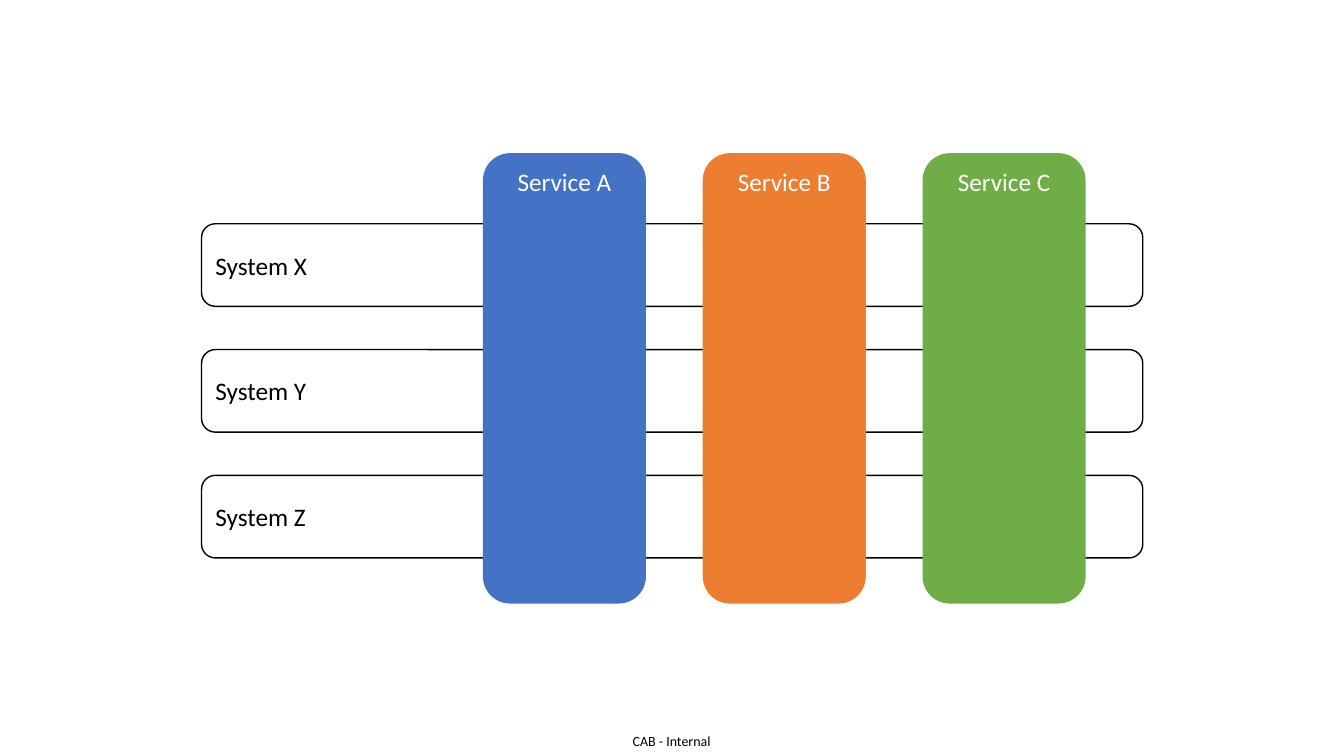
import pptx
import pptx.util
import pptx.dml.color
import pptx.enum.shapes
import pptx.enum.text

Cm, Pt = pptx.util.Cm, pptx.util.Pt
ALIGN = pptx.enum.text.PP_ALIGN
ANCHOR = pptx.enum.text.MSO_ANCHOR

COLORS = {"black": "000000", "white": "FFFFFF", "blue": "4472C4",
          "orange": "ED7D31", "green": "70AD47"}
SYSTEMS = ["System X", "System Y", "System Z"]
SERVICES = [("Service A", "blue"), ("Service B", "orange"), ("Service C", "green")]
FOOTER = "CAB - Internal"

# Lengths in centimetres: left, top, width, height of the first item, then the step
SYSTEM_BOX, SYSTEM_STEP = (5.08, 5.64, 23.72, 2.08), 3.17
SERVICE_BOX, SERVICE_STEP = (12.17, 3.86, 4.11, 11.35), 5.54
FOOTER_BOX = (15.54, 18.31, 2.77, 0.74)


def color(name):
    return pptx.dml.color.RGBColor.from_string(COLORS[name])


def write(shape, text, size, color_name, align, anchor):
    frame = shape.text_frame
    frame.word_wrap = True
    frame.vertical_anchor = anchor
    para = frame.paragraphs[0]
    para.alignment = align
    span = para.add_run()
    span.text = text
    span.font.name = "Calibri"
    span.font.size = Pt(size)
    span.font.color.rgb = color(color_name)


def add_rounded(page, left, top, width, height):
    kind = pptx.enum.shapes.MSO_SHAPE.ROUNDED_RECTANGLE
    shape = page.shapes.add_shape(kind, Cm(left), Cm(top), Cm(width), Cm(height))
    shape.shadow.inherit = False
    return shape


def add_system(page, index, name):
    left, top, width, height = SYSTEM_BOX
    bar = add_rounded(page, left, top + index * SYSTEM_STEP, width, height)
    bar.fill.background()
    bar.line.color.rgb = color("black")
    bar.line.width = Pt(1)
    write(bar, name, 18, "black", ALIGN.LEFT, ANCHOR.MIDDLE)


def add_service(page, index, name, fill):
    left, top, width, height = SERVICE_BOX
    pillar = add_rounded(page, left + index * SERVICE_STEP, top, width, height)
    pillar.fill.solid()
    pillar.fill.fore_color.rgb = color(fill)
    pillar.line.fill.background()
    write(pillar, name, 18, "white", ALIGN.CENTER, ANCHOR.TOP)


def add_footer(page):
    box = page.shapes.add_textbox(*map(Cm, FOOTER_BOX))
    frame = box.text_frame
    frame.margin_left = frame.margin_right = frame.margin_top = frame.margin_bottom = 0
    write(box, FOOTER, 10, "black", ALIGN.CENTER, ANCHOR.MIDDLE)


def main():
    deck = pptx.Presentation()
    deck.slide_width, deck.slide_height = Cm(33.87), Cm(19.05)
    page = deck.slides.add_slide(deck.slide_layouts[6])
    add_footer(page)
    for index, name in enumerate(SYSTEMS):
        add_system(page, index, name)
    for index, (name, fill) in enumerate(SERVICES):
        add_service(page, index, name, fill)
    deck.save("out.pptx")


if __name__ == "__main__":
    main()
